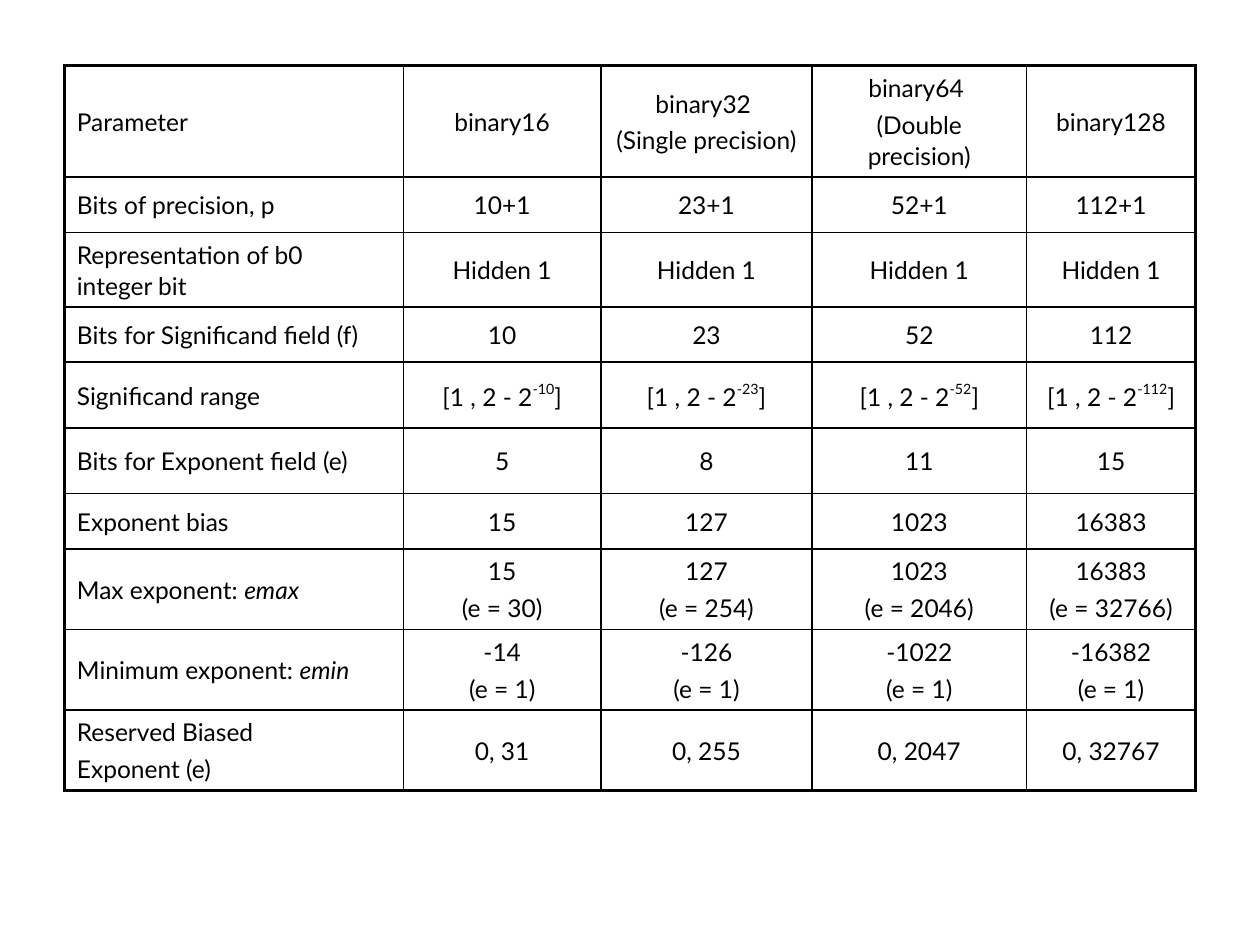
from lxml import etree
from pptx import Presentation
from pptx.dml.color import RGBColor
from pptx.enum import text
from pptx.oxml.ns import qn
from pptx.util import Pt

BLACK = RGBColor(0x00, 0x00, 0x00)
FONT = "Lato"
SIZE = 14
THIN, THICK = 1, 2.25
LEFT, TOP = 36.75, 37.5
COL_WIDTHS = [193.75, 113, 120.5, 122.75, 96.5]
SHORT, TALL = 31.7, 37.5
ROW_HEIGHTS = [TALL, SHORT, TALL, SHORT, TALL, TALL, SHORT, TALL, SHORT, TALL]

# A cell is a list of paragraphs, a paragraph a list of (text, style) runs
PLAIN, ITALIC, SUPER = "plain", "italic", "super"


def lines(*texts):
    return [[(t, PLAIN)] for t in texts]


LABELS = [
    lines("Parameter"),
    lines("Bits of precision, p"),
    lines("Representation of b0 \ninteger bit"),
    lines("Bits for Significand field (f)"),
    lines("Significand range"),
    lines("Bits for Exponent field (e)"),
    lines("Exponent bias"),
    [[("Max exponent: ", PLAIN), ("emax", ITALIC)]],
    [[("Minimum exponent: ", PLAIN), ("emin", ITALIC)]],
    lines("Reserved Biased", "Exponent (e)"),
]

# Heading, significand bits, exponent bits
FORMATS = [
    (["binary16"], 10, 5),
    (["binary32 ", "(Single precision)"], 23, 8),
    (["binary64 ", "(Double precision)"], 52, 11),
    (["binary128"], 112, 15),
]


def format_column(heading, frac, exp):
    """Cells for one binary format, derived from its field widths."""
    bias = 2 ** (exp - 1) - 1
    top = 2 ** exp - 1
    return [
        lines(*heading),
        lines(f"{frac}+1"),
        lines("Hidden 1"),
        lines(f"{frac}"),
        [[("[1 , 2 - 2", PLAIN), (f"-{frac}", SUPER), ("]", PLAIN)]],
        lines(f"{exp}"),
        lines(f"{bias}"),
        lines(f"{bias}", f"(e = {top - 1})"),
        lines(f"{1 - bias}", "(e = 1)"),
        lines(f"0, {top}"),
    ]


def add_run(p, words, style):
    r = p.add_run()
    r.text = words
    f = r.font
    f.name, f.size, f.bold = FONT, Pt(SIZE), False
    f.color.rgb = BLACK
    if style == ITALIC:
        f.italic = True
    elif style == SUPER:
        r._r.get_or_add_rPr().set("baseline", "50000")


def fill_text(cell, paragraphs, align):
    cell.vertical_anchor = text.MSO_ANCHOR.MIDDLE
    tf = cell.text_frame
    for i, runs in enumerate(paragraphs):
        p = tf.add_paragraph() if i else tf.paragraphs[0]
        p.alignment = align
        p.line_spacing = 1.05
        p.space_after = Pt(SIZE / 4)
        for words, style in runs:
            for n, part in enumerate(words.split("\n")):
                if n:
                    p.add_line_break()
                add_run(p, part, style)


def set_borders(cell, widths):
    """Draw the sides in the order left, right, top, bottom."""
    tc_pr = cell._tc.get_or_add_tcPr()
    for side, width in zip("LRTB", widths):
        ln = etree.SubElement(tc_pr, qn(f"a:ln{side}"), w=str(int(Pt(width))))
        fill = etree.SubElement(ln, qn("a:solidFill"))
        etree.SubElement(fill, qn("a:srgbClr"), val=str(BLACK))
    cell.fill.background()


def add_format_table(s, columns):
    n_rows, n_cols = len(ROW_HEIGHTS), len(columns)
    frame = s.shapes.add_table(n_rows, n_cols, Pt(LEFT), Pt(TOP),
                               Pt(sum(COL_WIDTHS)), Pt(sum(ROW_HEIGHTS)))
    table = frame.table
    table.first_row = table.horz_banding = False
    for col, width in zip(table.columns, COL_WIDTHS):
        col.width = Pt(width)
    for row, height in zip(table.rows, ROW_HEIGHTS):
        row.height = Pt(height)

    # Text and borders, thicker around the outside
    for c, column in enumerate(columns):
        align = text.PP_ALIGN.CENTER if c else text.PP_ALIGN.LEFT
        for r, paragraphs in enumerate(column):
            cell = table.cell(r, c)
            fill_text(cell, paragraphs, align)
            outer = (c == 0, c == n_cols - 1, r == 0, r == n_rows - 1)
            set_borders(cell, [THICK if o else THIN for o in outer])


def main():
    prs = Presentation()
    prs.slide_width, prs.slide_height = Pt(720), Pt(540)
    s = prs.slides.add_slide(prs.slide_layouts[6])
    add_format_table(s, [LABELS] + [format_column(*f) for f in FORMATS])
    prs.save("out.pptx")


if __name__ == "__main__":
    main()
